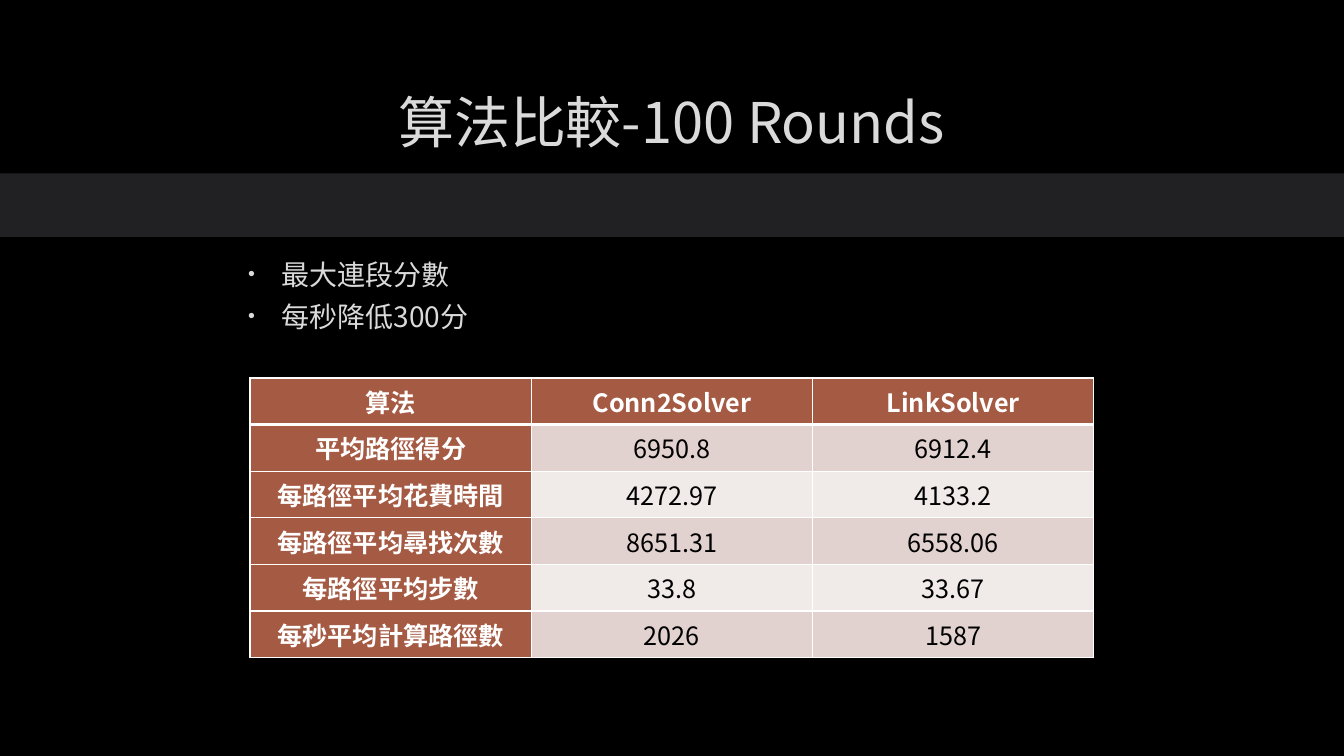
import pptx
import pptx.util
import pptx.dml.color
import pptx.enum.shapes
import pptx.enum.text
import pptx.oxml
import pptx.oxml.ns

Inches, Pt = pptx.util.Inches, pptx.util.Pt
CENTER = pptx.enum.text.PP_ALIGN.CENTER
MIDDLE = pptx.enum.text.MSO_ANCHOR.MIDDLE
TOP = pptx.enum.text.MSO_ANCHOR.TOP

# Content
TITLE = "算法比較-100 Rounds"
BULLETS = ["最大連段分數", "每秒降低300分"]
ROWS = [
    ("算法", "Conn2Solver", "LinkSolver"),
    ("平均路徑得分", "6950.8", "6912.4"),
    ("每路徑平均花費時間", "4272.97", "4133.2"),
    ("每路徑平均尋找次數", "8651.31", "6558.06"),
    ("每路徑平均步數", "33.8", "33.67"),
    ("每秒平均計算路徑數", "2026", "1587"),
]
FONT = "Noto Sans CJK SC"
COLORS = {
    "background": "000000", "band": "212123", "text": "DADADA",
    "head": "A55A43", "odd": "E1D2CF", "even": "F0EAE9",
    "white": "FFFFFF", "black": "000000",
}
COL_WIDTH, ROW_HEIGHT = 2.79, 0.46


def rgb(name):
    return pptx.dml.color.RGBColor.from_string(COLORS[name])


def xml(markup):
    tag, rest = markup.split(" ", 1)
    return pptx.oxml.parse_xml(f"{tag} {pptx.oxml.ns.nsdecls('a')} {rest}")


def format_runs(p, size, color, bold=False):
    for r in p.runs:
        r.font.size, r.font.bold, r.font.name = Pt(size), bold, FONT
        r.font.color.rgb = rgb(color)
        r.font._element.append(xml(f'<a:ea typeface="{FONT}"/>'))


def place(sp, left, top, width, height):
    sp.left, sp.top = Inches(left), Inches(top)
    sp.width, sp.height = Inches(width), Inches(height)


def add_borders(cell, bottom):
    tcPr = cell._tc.get_or_add_tcPr()
    for i, (side, width) in enumerate(
            [("L", 1), ("R", 1), ("T", 1), ("B", bottom)]):
        tcPr.insert(i, xml(
            f'<a:ln{side} w="{Pt(width)}"><a:solidFill><a:srgbClr '
            f'val="{COLORS["white"]}"/></a:solidFill></a:ln{side}>'))


prs = pptx.Presentation()
prs.slide_width, prs.slide_height = Inches(13.33), Inches(7.5)
s = prs.slides.add_slide(prs.slide_layouts[1])
s.background.fill.solid()
s.background.fill.fore_color.rgb = rgb("background")

# Band under the title
band = s.shapes.add_shape(pptx.enum.shapes.MSO_SHAPE.RECTANGLE,
                          0, Inches(1.72), prs.slide_width, Inches(0.63))
band.shadow.inherit = False
band.fill.solid()
band.fill.fore_color.rgb = rgb("band")
band.line.fill.background()

# Title
title = s.shapes.title
place(title, 1, 0.67, 11.32, 1.06)
title.text_frame.text = TITLE
title.text_frame.vertical_anchor = MIDDLE
title.text_frame.paragraphs[0].alignment = CENTER
format_runs(title.text_frame.paragraphs[0], 40, "text")

# Bullet list
body = s.placeholders[1]
place(body, 2.31, 2.5, 11.32, 4.44)
tf = body.text_frame
tf.text = "\n".join(BULLETS)
tf.vertical_anchor = TOP
for p in tf.paragraphs:
    p.space_before, p.space_after = Pt(0), Pt(6)
    pPr = p._p.get_or_add_pPr()
    pPr.set("marL", str(Inches(0.38)))
    pPr.set("indent", str(Inches(-0.33)))
    pPr.append(xml(f'<a:buClr ><a:srgbClr val="{COLORS["text"]}"/></a:buClr>'))
    pPr.append(xml('<a:buSzPct val="70000"/>'))
    pPr.append(xml('<a:buFont typeface="Arial"/>'))
    pPr.append(xml('<a:buChar char="•"/>'))
    format_runs(p, 20, "text")

# Comparison table
table = s.shapes.add_table(
    len(ROWS), len(ROWS[0]), Inches(2.48), Inches(3.75),
    Inches(COL_WIDTH * len(ROWS[0])), Inches(ROW_HEIGHT * len(ROWS))).table
for column in table.columns:
    column.width = Inches(COL_WIDTH)
for i, values in enumerate(ROWS):
    table.rows[i].height = Inches(ROW_HEIGHT)
    for j, value in enumerate(values):
        cell = table.cell(i, j)
        is_head = i == 0 or j == 0
        cell.text_frame.text = value
        cell.fill.solid()
        cell.fill.fore_color.rgb = rgb(
            "head" if is_head else "odd" if i % 2 else "even")
        add_borders(cell, 3 if i == 0 else 1)
        p = cell.text_frame.paragraphs[0]
        p.alignment = CENTER
        format_runs(p, 18, "white" if is_head else "black", is_head)

prs.save("out.pptx")
